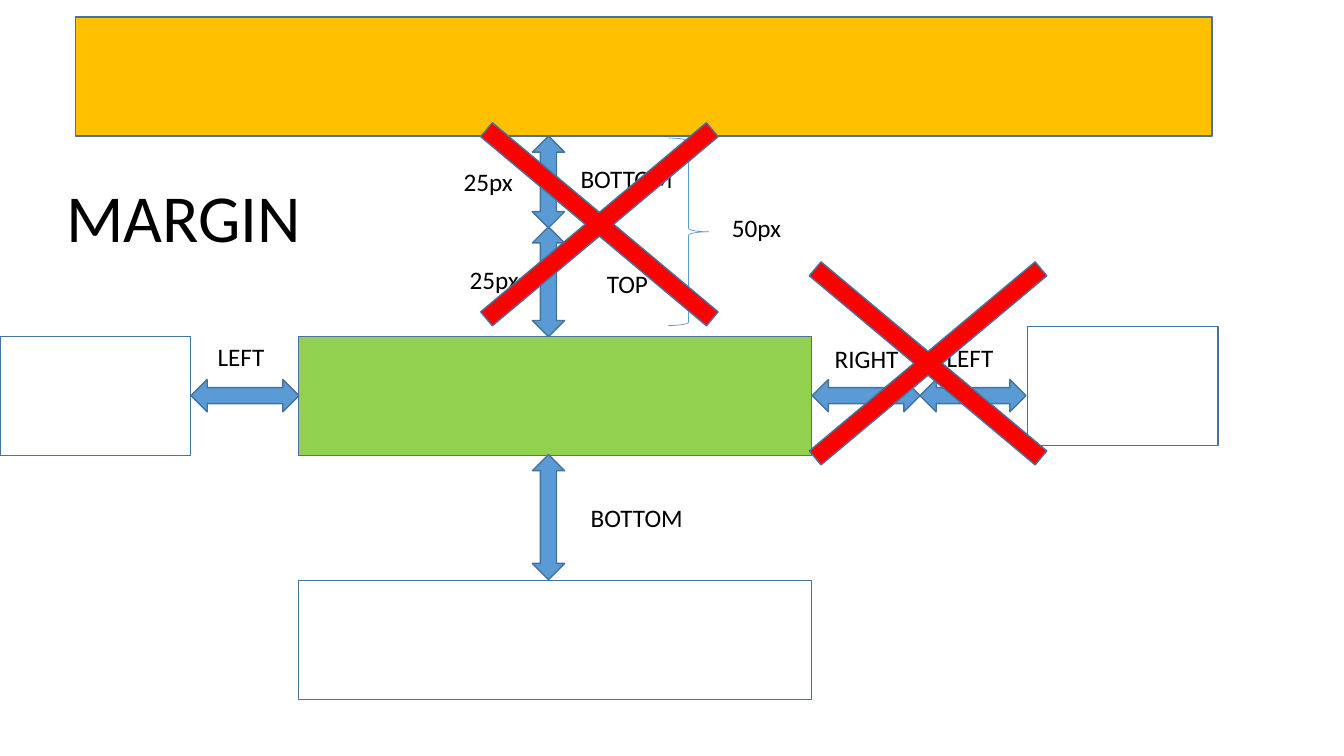
from pptx import Presentation
from pptx.dml.color import RGBColor
from pptx.enum.shapes import MSO_SHAPE
from pptx.enum.text import MSO_AUTO_SIZE
from pptx.util import Inches, Pt

RECT = MSO_SHAPE.RECTANGLE
ARROW = MSO_SHAPE.UP_DOWN_ARROW
BRACE = MSO_SHAPE.RIGHT_BRACE
CROSS = MSO_SHAPE.MATH_MULTIPLY
FIT = MSO_AUTO_SIZE.SHAPE_TO_FIT_TEXT

BLUE, EDGE, RED = "5B9BD5", "43739E", "FF0000"
AMBER, GREEN, BLACK = "FFC000", "92D050", "000000"
CELL = 0.1
BOX_H, ARROW_W = 11.8, 3.2


def rgb(value):
    return RGBColor.from_string(value)


class Board:
    """Draws the box-model diagram on a grid of tenth-of-an-inch cells."""

    def __init__(self, prs):
        self.s = prs.slides.add_slide(prs.slide_layouts[6])
        self.font = {"name": "Calibri", "bold": False}

    def place(self, *cells):
        return [Inches(c * CELL) for c in cells]

    def shape(self, kind, x, y, w, h, fill=None, line=EDGE, width=1):
        sp = self.s.shapes.add_shape(kind, *self.place(x, y, w, h))
        sp.shadow.inherit = False
        if fill:
            sp.fill.solid()
            sp.fill.fore_color.rgb = rgb(fill)
        else:
            sp.fill.background()
        sp.line.color.rgb = rgb(line)
        sp.line.width = Pt(width)
        return sp

    def box(self, x, y, w, fill=None):
        self.shape(RECT, x, y, w, BOX_H, fill)

    def arrow(self, x, y, length, rotation=0):
        sp = self.shape(ARROW, x, y, ARROW_W, length, BLUE)
        sp.rotation = rotation

    def brace(self, x, y, w, h):
        self.shape(BRACE, x, y, w, h, line=BLUE, width=0.5)

    def cross(self, x, y):
        sp = self.shape(CROSS, x, y, 43.1, 36.1, RED)
        sp.adjustments[0] = 0.05

    def text(self, text, x, y, w=9.4, h=4, size=18):
        tf = self.s.shapes.add_textbox(*self.place(x, y, w, h)).text_frame
        tf.word_wrap = True
        tf.auto_size = FIT
        r = tf.paragraphs[0].add_run()
        r.text = text
        for name, value in {**self.font, "size": Pt(size)}.items():
            setattr(r.font, name, value)
        r.font.color.rgb = rgb(BLACK)


def main():
    prs = Presentation()
    prs.slide_width, prs.slide_height = Inches(13.33), Inches(7.5)
    board = Board(prs)

    board.box(7.5, 1.7, 112.7, AMBER)
    board.box(29.6, 33.4, 50.9, GREEN)
    for arrow in [(52.8, 22.5, 10.9), (84.3, 33.9, 10.7, 90),
                  (22.7, 33.9, 10.7, 90), (52.8, 45.1, 12.4)]:
        board.arrow(*arrow)
    for box in [(101.9, 32.4, 18.9), (0, 33.4, 18.9), (29.6, 57.6, 50.9)]:
        board.box(*box)
    for label in [("TOP", 59.2, 26.1), ("BOTTOM", 57.6, 49.3, 15),
                  ("RIGHT", 81.8, 33.6), ("LEFT", 20.6, 33.4)]:
        board.text(*label)

    board.arrow(52.8, 13.5, 9.1)
    board.brace(66.3, 13.7, 4, 18.6)
    for label in [("50px", 71.6, 20.6), ("BOTTOM", 56.6, 15.7, 15),
                  ("25px", 45, 16), ("25px", 45.6, 25.7)]:
        board.text(*label)
    board.cross(37.9, 4.2)

    board.arrow(94.9, 34, 10.5, 90)
    board.text("LEFT", 92.9, 33.5)
    board.cross(70.5, 18)
    board.text("MARGIN", 5.6, 16.9, 31.7, 9.1, 48)

    prs.save("out.pptx")


if __name__ == "__main__":
    main()
